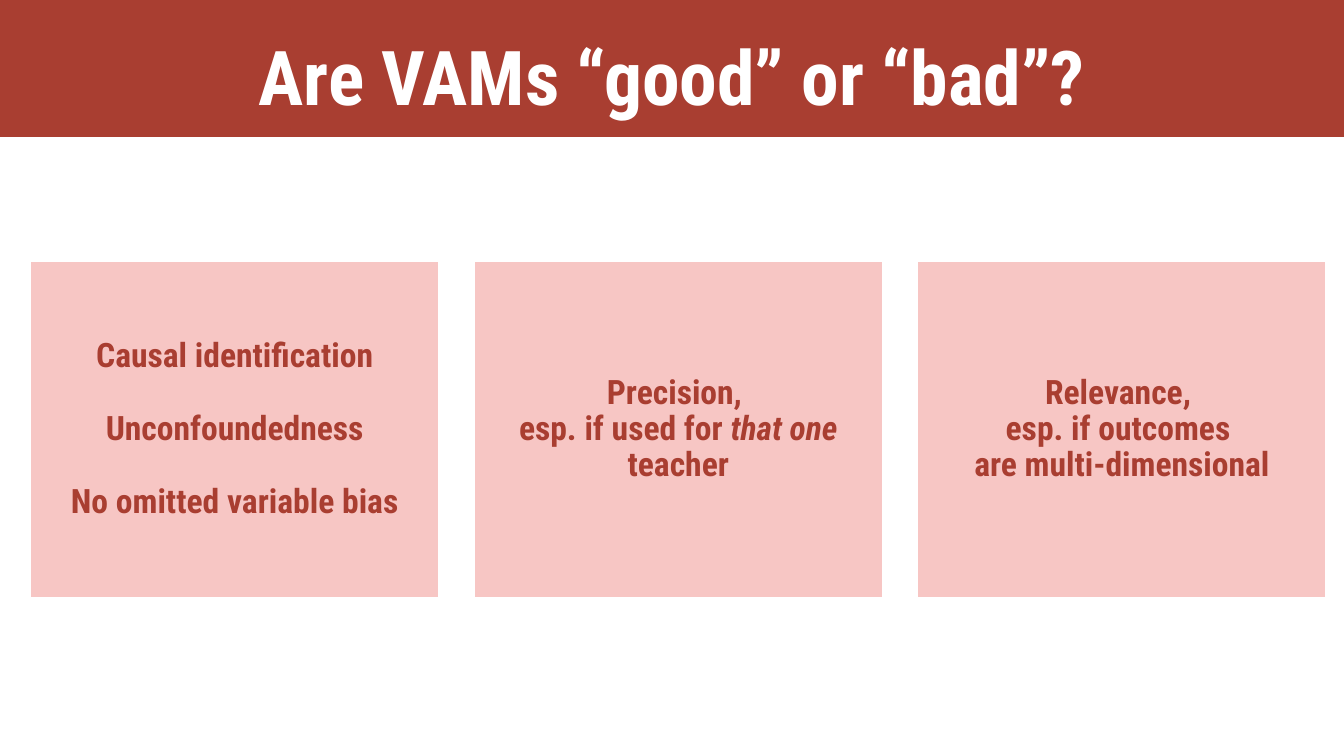
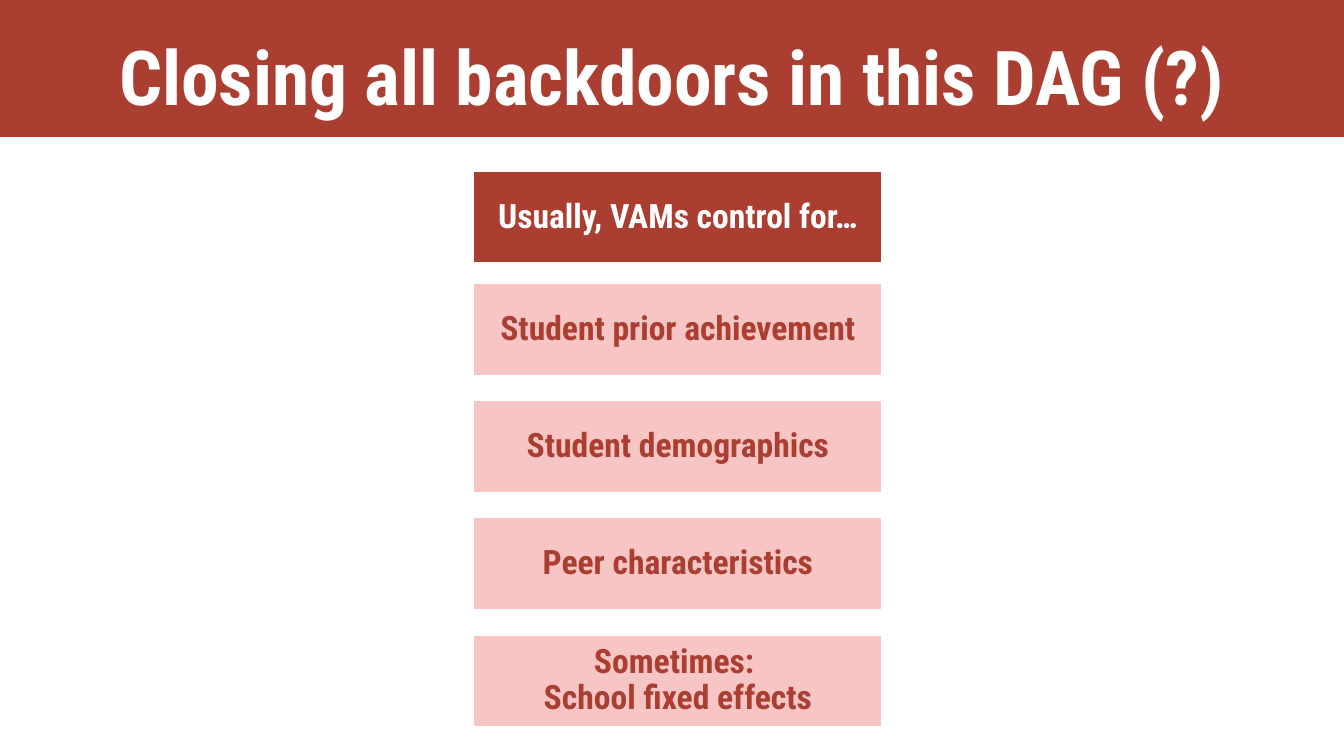
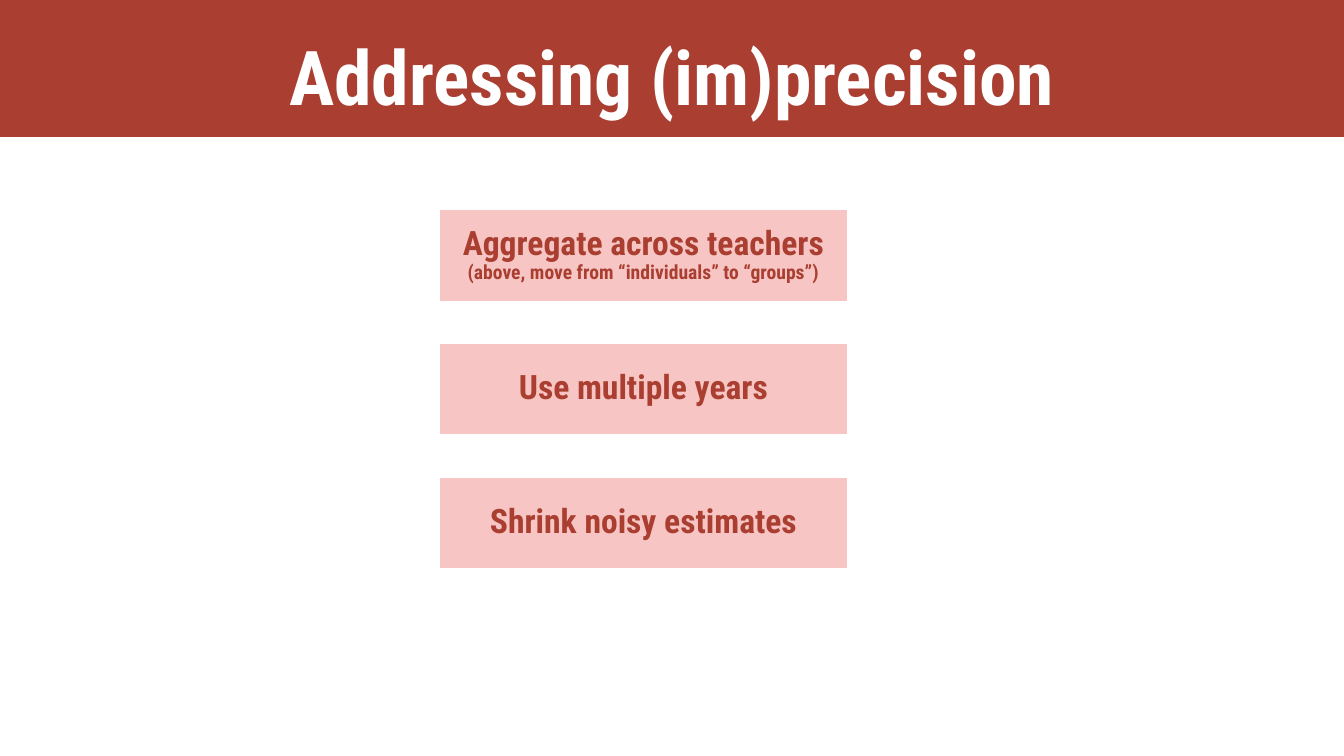
from dataclasses import dataclass

import pptx
import pptx.dml.color
import pptx.enum.shapes
import pptx.enum.text
import pptx.util

Cm = pptx.util.Cm
Pt = pptx.util.Pt
RGBColor = pptx.dml.color.RGBColor
PP_ALIGN = pptx.enum.text.PP_ALIGN
MSO_ANCHOR = pptx.enum.text.MSO_ANCHOR
RECTANGLE = pptx.enum.shapes.MSO_SHAPE.RECTANGLE


@dataclass(frozen=True)
class Theme:
    font: str = "Roboto Condensed"
    red: RGBColor = RGBColor(0xA9, 0x3E, 0x31)
    pink: RGBColor = RGBColor(0xF7, 0xC6, 0xC4)
    white: RGBColor = RGBColor(0xFF, 0xFF, 0xFF)
    title_size: Pt = Pt(54)
    card_size: Pt = Pt(24)
    note_size: Pt = Pt(14)
    outline: Pt = Pt(2)


theme = Theme()
card_width = 10.33
row_height = 2.35
center_left = 11.92

deck = pptx.Presentation()
deck.slide_width = Cm(33.87)
deck.slide_height = Cm(19.05)
layout = deck.slide_layouts.get_by_name("Title Only")

layout_title = layout.placeholders[0]
layout_title.left, layout_title.top = Cm(0), Cm(-0.28)
layout_title.width, layout_title.height = deck.slide_width, Cm(3.45)
layout_title.text_frame.vertical_anchor = MSO_ANCHOR.BOTTOM
layout_title.text_frame.auto_size = pptx.enum.text.MSO_AUTO_SIZE.NONE


def add_page(title):
    page = deck.slides.add_slide(layout)
    page.shapes.title.text_frame.text = title
    para = page.shapes.title.text_frame.paragraphs[0]
    para.alignment = PP_ALIGN.CENTER
    font = para.runs[0].font
    font.name, font.size, font.bold = theme.font, theme.title_size, True
    font.color.rgb = theme.white
    return page


def add_card(page, left, top, height, text, fill=theme.pink, ink=theme.red, gap=0):
    box = page.shapes.add_shape(RECTANGLE, Cm(left), Cm(top), Cm(card_width), Cm(height))
    box.shadow.inherit = False
    box.fill.solid()
    box.fill.fore_color.rgb = fill
    box.line.color.rgb = theme.white
    box.line.width = theme.outline
    frame = box.text_frame
    frame.word_wrap = True
    frame.vertical_anchor = MSO_ANCHOR.MIDDLE
    frame.margin_left = frame.margin_right = Cm(0.3)
    frame.margin_top = frame.margin_bottom = Cm(0.3)
    frame.text = text
    for index, para in enumerate(frame.paragraphs):
        para.alignment = PP_ALIGN.CENTER
        para.line_spacing = 0.9
        para.space_before = Pt(gap if index else 0)
        plain, *others = para.text.split("*")
        para.text = plain
        for part in others:
            para.add_run().text = part
        for position, span in enumerate(para.runs):
            font = span.font
            font.name, font.size, font.bold = theme.font, theme.card_size, True
            font.italic = position % 2 == 1
            font.color.rgb = ink
    return box


page = add_page("Are VAMs “good” or “bad”?")
band = page.shapes.add_shape(RECTANGLE, 0, 0, deck.slide_width, Cm(3.45))
band.shadow.inherit = False
band.fill.solid()
band.fill.fore_color.rgb = theme.red
band.line.fill.background()
layout.shapes.element.insert(2, band.element)

criteria = [
    ("Causal identification\nUnconfoundedness\nNo omitted variable bias", 26),
    ("Precision, \nesp. if used for *that one* teacher", 0),
    ("Relevance, \nesp. if outcomes \nare multi-dimensional", 0),
]
for column, (text, gap) in enumerate(criteria):
    add_card(page, 0.75 + column * 11.18, 6.58, 8.5, text, gap=gap)

page = add_page("Closing all backdoors in this DAG (?)")
add_card(page, center_left, 4.3, row_height, "Usually, VAMs control for…", theme.red, theme.white)
controls = [
    "Student prior achievement",
    "Student demographics",
    "Peer characteristics",
    "Sometimes: \nSchool fixed effects",
]
for row, text in enumerate(controls):
    add_card(page, center_left, 7.13 + row * 2.95, row_height, text)

page = add_page("Addressing (im)precision")
remedies = [
    "Aggregate across teachers\n(above, move from “individuals” to “groups”)",
    "Use multiple years",
    "Shrink noisy estimates",
]
for row, text in enumerate(remedies):
    card = add_card(page, 11.05, 5.26 + row * 3.37, row_height, text)
    for note in card.text_frame.paragraphs[1:]:
        note.runs[0].font.size = theme.note_size

deck.save("out.pptx")
